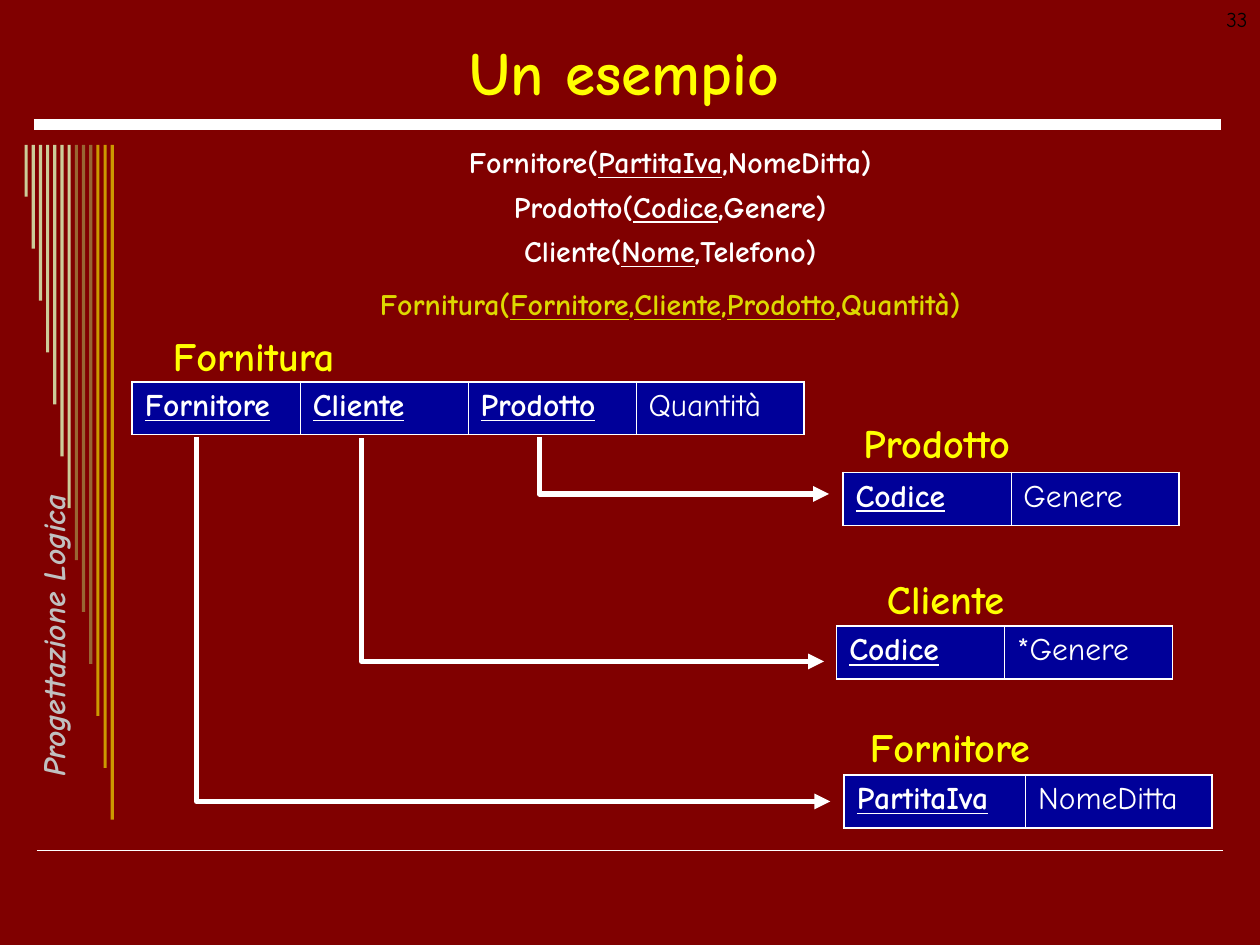
from dataclasses import dataclass

from lxml import etree
from pptx import Presentation
from pptx.dml.color import RGBColor
from pptx.enum.shapes import MSO_CONNECTOR, MSO_SHAPE
from pptx.enum.text import MSO_ANCHOR, PP_ALIGN
from pptx.oxml.ns import qn
from pptx.util import Inches, Pt

LEFT, MID, RIGHT = PP_ALIGN.LEFT, PP_ALIGN.CENTER, PP_ALIGN.RIGHT
TOP, CENTER = MSO_ANCHOR.TOP, MSO_ANCHOR.MIDDLE
RECT, STRAIGHT = MSO_SHAPE.RECTANGLE, MSO_CONNECTOR.STRAIGHT


@dataclass(frozen=True)
class Theme:
    font: str = "Comic Neue"
    back: str = "800000"
    white: str = "FFFFFF"
    black: str = "000000"
    head: str = "FFFF00"
    gold: str = "DDD800"
    grey: str = "C0C0C0"
    cell: str = "000099"
    bars: tuple = ("CCCC99",) * 7 + ("996633",) * 3 + ("CC9900",) * 3
    title: int = 35
    label: int = 23
    field: int = 18
    body: int = 17
    small: int = 12


def rgb(code):
    return RGBColor.from_string(code)


def write(para, text, size, color, font, bold=True, italic=False, align=LEFT):
    """Fill a paragraph; parts between underscores are underlined."""
    para.alignment = align
    for i, part in enumerate(text.split("_")):
        if not part:
            continue
        run = para.add_run()
        run.text = part
        style = run.font
        style.name, style.size = font, Pt(size)
        style.bold, style.italic = bold, italic
        style.underline = i % 2 == 1
        style.color.rgb = rgb(color)


class Page:
    """A slide on a grid of 100 columns by 75 rows."""

    def __init__(self, deck, theme):
        self.theme = theme
        self.col, self.row = deck.slide_width / 100, deck.slide_height / 75
        self.slide = deck.slides.add_slide(deck.slide_layouts[6])
        self.shapes = self.slide.shapes
        fill = self.slide.background.fill
        fill.solid()
        fill.fore_color.rgb = rgb(theme.back)

    def grid(self, *cells):
        """Turn alternating columns and rows into lengths."""
        return [round(n * (self.row if i % 2 else self.col))
                for i, n in enumerate(cells)]

    def text(self, at, text, size, color, anchor=TOP, wrap=True, turn=0, **form):
        box = self.shapes.add_textbox(*self.grid(*at))
        box.rotation = turn
        frame = box.text_frame
        frame.word_wrap, frame.vertical_anchor = wrap, anchor
        write(frame.paragraphs[0], text, size, color, self.theme.font, **form)
        return frame

    def lines(self, at, rows):
        """Stack centred lines, each given as text, colour and space before."""
        look = self.theme
        first, *rest = rows
        frame = self.text(at, first[0], look.body, first[1], align=MID)
        for text, color, gap in rest:
            para = frame.add_paragraph()
            para.space_before = Pt(gap)
            write(para, text, look.body, color, look.font, align=MID)
        for para in frame.paragraphs:
            para.line_spacing = 0.8

    def rule(self, start, end, width):
        line = self.shapes.add_connector(STRAIGHT, *self.grid(*start, *end))
        line.line.color.rgb = rgb(self.theme.white)
        line.line.width = Pt(width)
        etree.SubElement(line._element.spPr, qn("a:effectLst"))

    def bar(self, at, color):
        bar = self.shapes.add_shape(RECT, *self.grid(*at))
        bar.shadow.inherit = False
        bar.fill.solid()
        bar.fill.fore_color.rgb = rgb(color)
        bar.line.fill.background()

    def arrow(self, x, y, end, low):
        """Go down from (x, y) to row low, then right to column end."""
        path = self.shapes.build_freeform(*self.grid(x, y))
        path.add_line_segments([self.grid(x, low), self.grid(end, low)], close=False)
        shape = path.convert_to_shape()
        shape.shadow.inherit = False
        shape.fill.background()
        shape.line.color.rgb = rgb(self.theme.white)
        shape.line.width = Pt(3)
        line = shape._element.spPr.find(qn("a:ln"))
        etree.SubElement(line, qn("a:tailEnd"), type="triangle")

    def edge(self, cell, widths):
        props = cell._tc.get_or_add_tcPr()
        for i, (side, width) in enumerate(zip("LRTB", widths)):
            line = etree.Element(qn(f"a:ln{side}"), w=str(Pt(width)))
            fill = etree.SubElement(line, qn("a:solidFill"))
            etree.SubElement(fill, qn("a:srgbClr"), val=self.theme.white)
            props.insert(i, line)

    def table(self, x, y, names, widths):
        look, last = self.theme, len(names) - 1
        at = self.grid(x, y, sum(widths), 4.2)
        table = self.shapes.add_table(1, len(names), *at).table
        table.first_row = table.horz_banding = False
        for i, (name, width) in enumerate(zip(names, widths)):
            table.columns[i].width = self.grid(width)[0]
            cell = table.cell(0, i)
            cell.fill.solid()
            cell.fill.fore_color.rgb = rgb(look.cell)
            write(cell.text_frame.paragraphs[0], name, look.field, look.white,
                  look.font, bold=name.startswith("_"))
            thick, thin = 1.08, 0.45
            self.edge(cell, (thin if i else thick, thin if i < last else thick,
                             thick, thick))

    def label(self, x, y, width, text):
        self.text((x, y, width, 4.9), text, self.theme.label, self.theme.head,
                  align=MID)


def main():
    deck = Presentation()
    deck.slide_width, deck.slide_height = Inches(10), Inches(7.5)
    look = Theme()
    page = Page(deck, look)

    page.rule((2.9, 67.5), (97.1, 67.5), 1)
    page.rule((2.7, 9.9), (96.9, 9.9), 6)
    for i, color in enumerate(look.bars):
        page.bar((1.95 + 0.57 * i, 11.5, 0.25, 4.12 * (i + 1)), color)
    page.text((-11.1, 49.2, 29.1, 2.5), "Progettazione Logica", look.field,
              look.grey, wrap=False, turn=270, italic=True, align=MID)
    page.text((3.5, 2.1, 92.1, 7.1), "Un esempio", look.title, look.head,
              anchor=CENTER, align=MID)
    page.lines((10.6, 11.5, 85.2, 15.1), [
        ("Fornitore(_PartitaIva_,NomeDitta)", look.white, 0),
        ("Prodotto(_Codice_,Genere)", look.white, 9),
        ("Cliente(_Nome_,Telefono)", look.white, 9),
        ("Fornitura(_Fornitore_,_Cliente_,_Prodotto_,Quantità)", look.gold, 14),
    ])

    wide = 13.33
    page.table(10.5, 30.3, ("_Fornitore_", "_Cliente_", "_Prodotto_", "Quantità"),
               (wide,) * 4)
    page.table(66.9, 37.5, ("_Codice_", "Genere"), (wide,) * 2)
    page.table(66.4, 49.7, ("_Codice_", "*Genere"), (wide,) * 2)
    page.table(67, 61.5, ("_PartitaIva_", "NomeDitta"), (14.4, 14.8))

    page.label(11.8, 25.8, 16.7, "Fornitura")
    page.label(66, 32.7, 16.7, "Prodotto")
    page.label(66.7, 45.1, 16.7, "Cliente")
    page.label(65.2, 56.8, 20.4, "Fornitore")

    page.arrow(42.8, 34.7, 65.8, 39.2)
    page.arrow(28.7, 34.8, 65.4, 52.5)
    page.arrow(15.6, 34.7, 65.9, 63.6)
    page.text((76.7, 0, 23.3, 5), "33", look.small, look.black, bold=False,
              align=RIGHT)
    deck.save("out.pptx")


if __name__ == "__main__":
    main()
